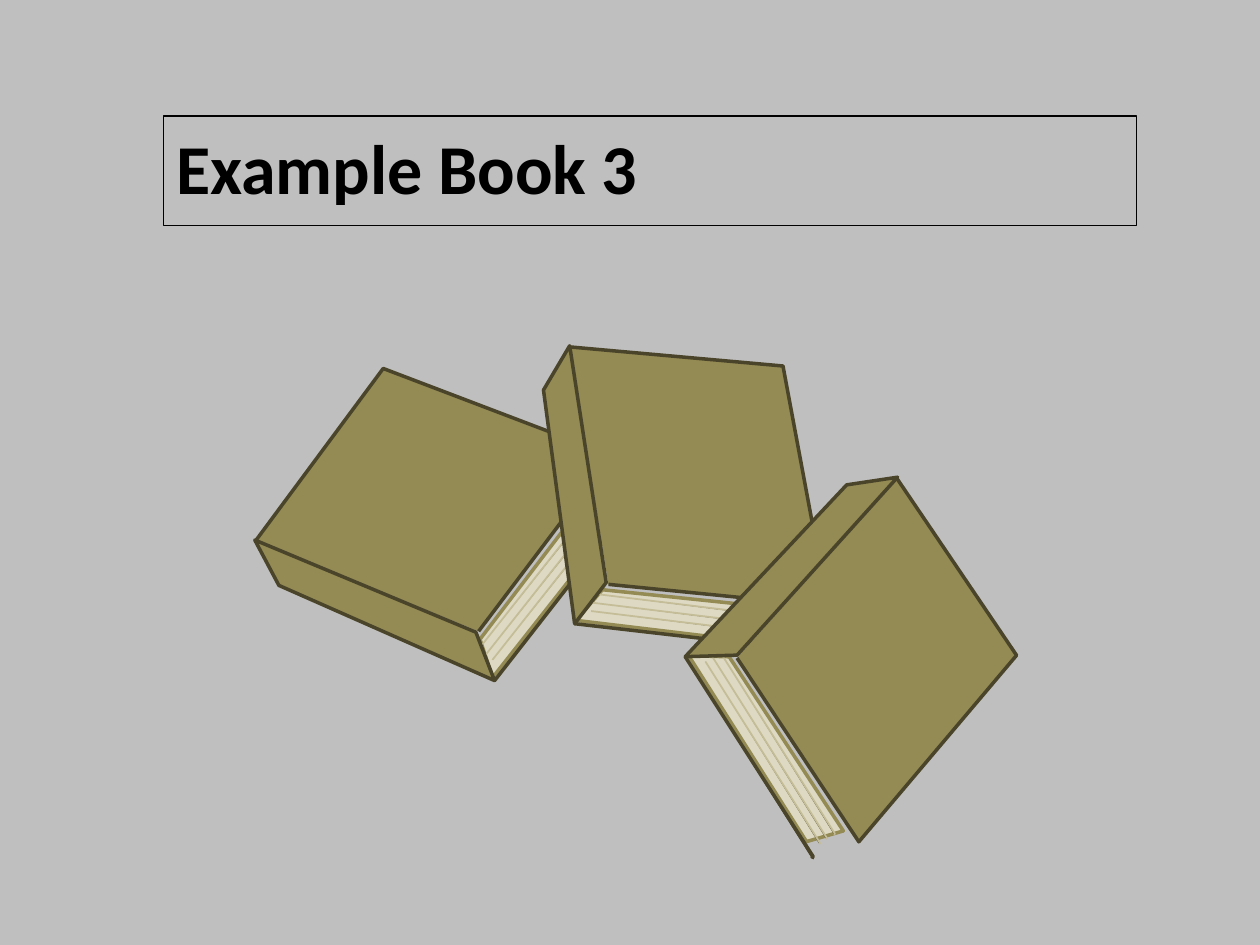
"""Build a title slide with three tumbled books."""
import math

from pptx import Presentation, util as u
from pptx.dml.color import RGBColor
from pptx.enum import shapes, text

OLIVE, DARK, PAPER, RULE = "948A54", "4A452A", "DDD9C3", "C4BD97"

PAGES = [(0.18, 1.54), (0.4, 1.33), (-1.04, 0.52), (-1.33, 0.66)]
COVER = [(-0.51, -1.35), (0.98, -0.54), (0.55, 1.35), (-0.98, 0.5)]
EDGE = [(-1.35, 0.68), (0.28, 1.62), (0.28, 1.64)]
SPINE = [(-0.84, -1.12), (-1.35, 0.68), (-0.99, 0.48), (-0.51, -1.36)]


def page_line(x, y):
    return [(x, y), (x + 1.47, y + 0.86), (x + 1.47, y + 0.87)]


BOOK_PARTS = [
    (PAGES, True, PAPER, OLIVE, 2),
    (COVER, False, OLIVE, DARK, 2),
    (EDGE, False, DARK, DARK, 2),
    (page_line(-1.12, 0.52), False, DARK, RULE, 1),
    (page_line(-1.16, 0.58), False, DARK, RULE, 1),
    (SPINE, True, OLIVE, DARK, 2),
    (page_line(-1.19, 0.64), False, DARK, RULE, 1),
]
BOOKS = [(3.44, 3.97, 278), (5.53, 3.79, 336.6), (6.95, 5.23, 27.4)]


def colour(value):
    return RGBColor.from_string(value)


class SlideBuilder:
    def __init__(self, slide, font="Calibri"):
        self.slide = slide
        self.font = font

    def background(self, fill):
        self.slide.background.fill.solid()
        self.slide.background.fill.fore_color.rgb = colour(fill)

    def style(self, shape, fill, line, width):
        shape.shadow.inherit = False
        if fill:
            shape.fill.solid()
            shape.fill.fore_color.rgb = colour(fill)
        else:
            shape.fill.background()
        shape.line.color.rgb = colour(line)
        shape.line.width = u.Pt(width)

    def frame(self, left, top, width, height, line):
        box = self.slide.shapes.add_shape(
            shapes.MSO_SHAPE.RECTANGLE, *map(u.Inches, (left, top, width, height)))
        self.style(box, None, line, 0.75)

    def title(self, left, top, width, height, words, size):
        box = self.slide.shapes.add_textbox(*map(u.Inches, (left, top, width, height)))
        box.text_frame.word_wrap = True
        box.text_frame.auto_size = text.MSO_AUTO_SIZE.SHAPE_TO_FIT_TEXT
        box.text_frame.text = words
        span = box.text_frame.paragraphs[0].runs[0]
        span.font.name = self.font
        span.font.size = u.Pt(size)
        span.font.bold = True
        span.font.color.rgb = colour("000000")

    def outline(self, points, closed, fill, line, width):
        corners = [(u.Inches(x), u.Inches(y)) for x, y in points]
        builder = self.slide.shapes.build_freeform(*corners[0])
        builder.add_line_segments(corners[1:], close=closed)
        shape = builder.convert_to_shape()
        self.style(shape, fill, line, width)
        return shape

    def book(self, x, y, angle):
        cos, sin = math.cos(math.radians(angle)), math.sin(math.radians(angle))
        for points, *look in BOOK_PARTS:
            mid_x, mid_y = ((min(axis) + max(axis)) / 2 for axis in zip(*points))
            shift_x = x + mid_x * cos - mid_y * sin - mid_x
            shift_y = y + mid_x * sin + mid_y * cos - mid_y
            part = self.outline([(px + shift_x, py + shift_y) for px, py in points], *look)
            part.rotation = angle


def main():
    deck = Presentation()
    deck.slide_width, deck.slide_height = u.Inches(10), u.Inches(7.5)
    page = SlideBuilder(deck.slides.add_slide(deck.slide_layouts[6]))
    page.background("BFBFBF")
    page.frame(1.3, 0.92, 7.72, 0.87, "000000")
    page.title(1.3, 0.94, 7.24, 0.77, "Example Book 3", 40)
    for place in BOOKS:
        page.book(*place)
    deck.save("out.pptx")


if __name__ == "__main__":
    main()
